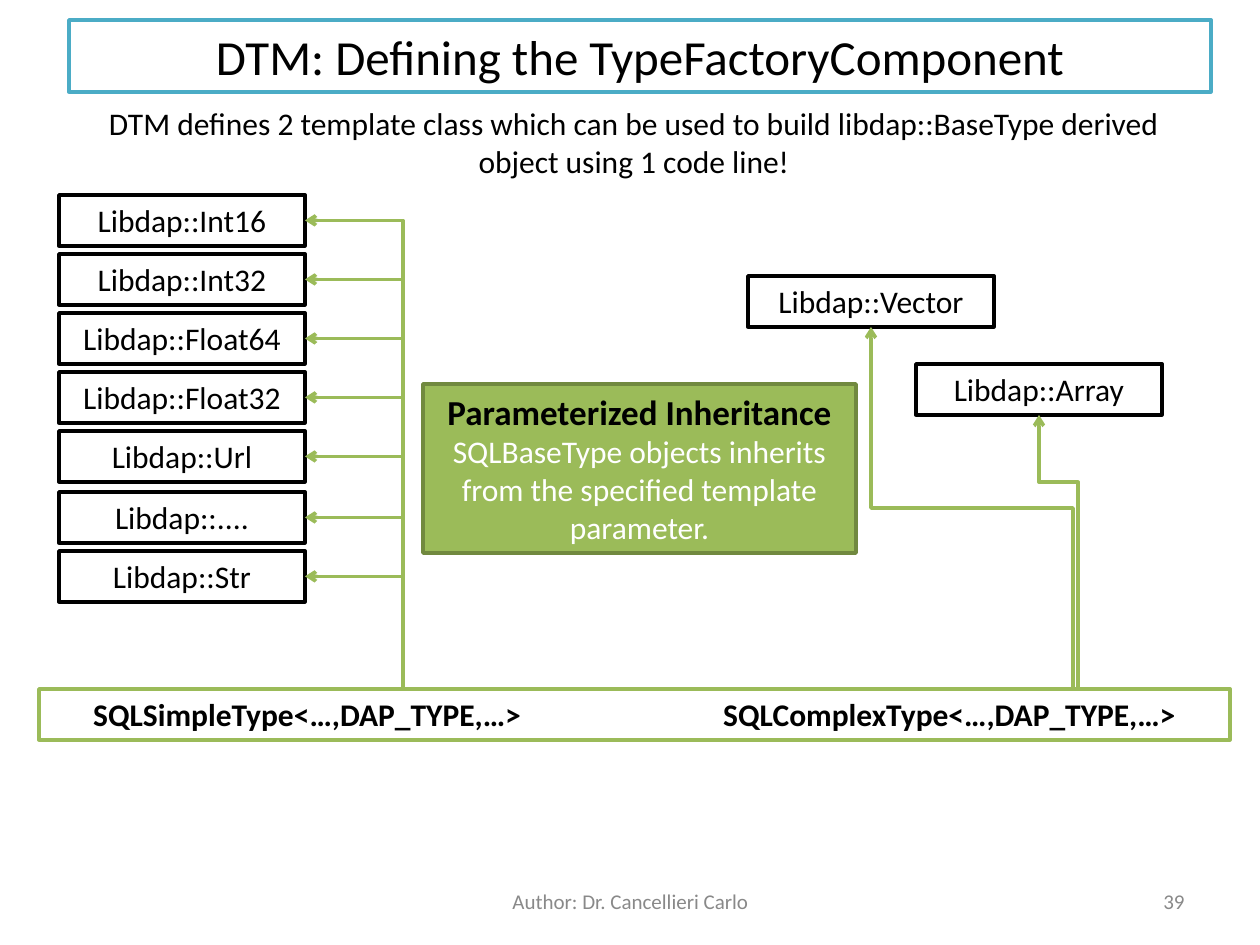
from lxml import etree
from pptx import Presentation, util as u
from pptx.dml.color import RGBColor
from pptx.enum import shapes, text
from pptx.oxml.ns import qn

PX = 914400 // 126
BLACK, WHITE, GREEN, GREY = "000000", "FFFFFF", "9BBB59", "898989"

# Content: text, size, bold, colour per paragraph; boxes are left, top, width, height
TITLE = ("DTM: Defining the TypeFactoryComponent", 28, False, BLACK)
INTRO = ("DTM defines 2 template class which can be used to build "
         "libdap::BaseType derived object using 1 code line!", 18, False, BLACK)
INHERITANCE = [
    ("Parameterized Inheritance", 20, True, BLACK),
    ("SQLBaseType objects inherits from the specified template parameter.",
     18, False, WHITE),
]
TEMPLATES = ("SQLSimpleType<…,DAP_TYPE,…>\t\tSQLComplexType<…,DAP_TYPE,…>",
             18, True, BLACK)
SIMPLE_TYPES = [("Int16", 195), ("Int32", 254), ("Float64", 313),
                ("Float32", 372), ("Url", 431), ("....", 492), ("Str", 551)]
# name, left, top, start of its arrow, share of the rise before the bend
COMPLEX_TYPES = [("Vector", 748, 276, 1073, 0.5), ("Array", 916, 364, 1078, 0.755)]
AUTHOR = ("Author: Dr. Cancellieri Carlo", 12, False, GREY)
PAGE = ("39", 12, False, GREY)

TYPE_LEFT, TYPE_W, TYPE_H = 59, 246, 51
BAR_TOP, RAIL_X = 689, 403


def px(n):
    return round(n * PX)


def rgb(value):
    return RGBColor.from_string(value)


def write(shape, paragraphs, align, anchor):
    frame = shape.text_frame
    frame.word_wrap = True
    frame.vertical_anchor = anchor
    frame.text = "\n".join(p[0] for p in paragraphs)
    for paragraph, (_, size, bold, colour) in zip(frame.paragraphs, paragraphs):
        paragraph.alignment = align
        for run in paragraph.runs:
            run.font.name = "Calibri"
            run.font.size = u.Pt(size)
            run.font.bold = bold
            run.font.color.rgb = rgb(colour)


def add_box(box, paragraphs, line=None, fill=WHITE):
    shape = slide.shapes.add_shape(shapes.MSO_SHAPE.RECTANGLE, *map(px, box))
    shape.shadow.inherit = False
    shape.fill.solid()
    shape.fill.fore_color.rgb = rgb(fill)
    if line:
        shape.line.color.rgb = rgb(line)
        shape.line.width = u.Pt(2)
    else:
        shape.line.fill.background()
    write(shape, paragraphs, text.PP_ALIGN.CENTER, text.MSO_ANCHOR.TOP)
    return shape


def add_type(name, left, top):
    add_box((left, top, TYPE_W, TYPE_H), [("Libdap::" + name, 18, False, BLACK)], BLACK)


def add_arrow(x0, y0, x1, y1, bend=None):
    """Elbow going up from (x0, y0), then left; with a bend it ends going up."""
    rise, run = y0 - y1, x0 - x1
    mid_x, mid_y = (x0 + x1) / 2, (y0 + y1) / 2
    # Laid out sideways around its centre, then turned by 270 degrees
    arrow = slide.shapes.add_connector(
        shapes.MSO_CONNECTOR.ELBOW,
        px(mid_x - rise / 2), px(mid_y + run / 2),
        px(mid_x + rise / 2), px(mid_y - run / 2))
    arrow.line.color.rgb = rgb(GREEN)
    arrow.line.width = u.Pt(2)
    props = arrow._element.spPr
    props.find(qn("a:xfrm")).set("rot", str(270 * 60000))
    geometry = props.find(qn("a:prstGeom"))
    if bend is None:
        geometry.set("prst", "bentConnector2")
    else:
        guides = geometry.find(qn("a:avLst"))
        etree.SubElement(guides, qn("a:gd"), name="adj1",
                         fmla=f"val {round(bend * 100000)}")
    etree.SubElement(props.find(qn("a:ln")), qn("a:tailEnd"), type="arrow")
    etree.SubElement(props, qn("a:effectLst"))


def add_footer(box, paragraph, align):
    shape = slide.shapes.add_textbox(*map(px, box))
    write(shape, [paragraph], align, text.MSO_ANCHOR.MIDDLE)


prs = Presentation()
prs.slide_width, prs.slide_height = px(1260), px(945)
slide = prs.slides.add_slide(prs.slide_layouts[6])

# Template bar, its two names set apart by tab stops
bar = add_box((39, BAR_TOP, 1191, TYPE_H), [TEMPLATES], GREEN)
tabs = etree.SubElement(bar.text_frame.paragraphs[0]._p.get_or_add_pPr(), qn("a:tabLst"))
for inch in range(8):
    etree.SubElement(tabs, qn("a:tab"), pos=str(u.Inches(inch)), algn="l")

# Library types
for name, top in SIMPLE_TYPES:
    add_type(name, TYPE_LEFT, top)
for name, left, top, _, _ in COMPLEX_TYPES:
    add_type(name, left, top)

# Inheritance arrows
for _, top in SIMPLE_TYPES:
    add_arrow(RAIL_X, BAR_TOP, TYPE_LEFT + TYPE_W, top + TYPE_H / 2)
for _, left, top, start, bend in COMPLEX_TYPES:
    add_arrow(start, BAR_TOP, left + TYPE_W / 2, top + TYPE_H, bend)

# Headline, introduction, explanation and footer
add_box((88, 98, 1092, 88), [INTRO])
add_box((423, 384, 433, 169), INHERITANCE, "71893F", GREEN)
add_footer((903, 876, 294, 50), PAGE, text.PP_ALIGN.RIGHT)
add_footer((431, 876, 399, 50), AUTHOR, text.PP_ALIGN.CENTER)
add_box((69, 20, 1142, 72), [TITLE], "4BACC6")

prs.save("out.pptx")
